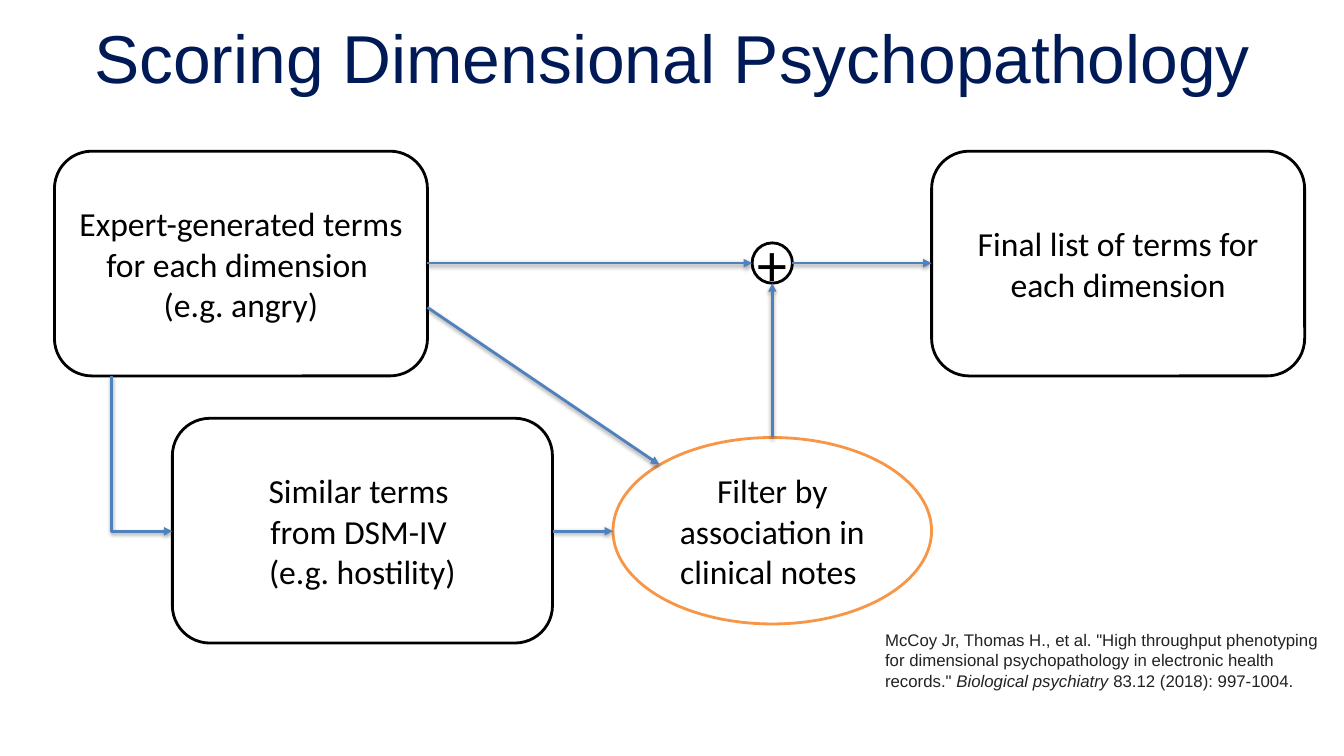
from dataclasses import dataclass

from lxml.etree import SubElement
from pptx import Presentation
from pptx.dml.color import RGBColor
from pptx.enum.shapes import MSO_CONNECTOR, MSO_SHAPE
from pptx.enum.text import MSO_ANCHOR, MSO_AUTO_SIZE, PP_ALIGN
from pptx.oxml import parse_xml
from pptx.oxml.ns import nsdecls, qn
from pptx.util import Inches, Pt


@dataclass(frozen=True)
class Theme:
    title_color: RGBColor = RGBColor(0x00, 0x1A, 0x57)
    cite_color: RGBColor = RGBColor(0x22, 0x22, 0x22)
    black: RGBColor = RGBColor(0x00, 0x00, 0x00)
    white: RGBColor = RGBColor(0xFF, 0xFF, 0xFF)
    blue: RGBColor = RGBColor(0x4F, 0x81, 0xBD)
    orange: RGBColor = RGBColor(0xF7, 0x96, 0x46)
    heading_font: str = "Arial"
    body_font: str = "Calibri"
    title_size: float = 48.4
    node_size: float = 24
    plus_size: float = 42.7
    cite_size: float = 12
    line_width: float = 2


SHADOW = (
    f'<a:effectLst {nsdecls("a")}>'
    '<a:outerShdw blurRad="39370" dist="20320" dir="5400000" rotWithShape="0">'
    '<a:srgbClr val="000000"><a:alpha val="38000"/></a:srgbClr>'
    '</a:outerShdw></a:effectLst>'
)


class FlowSlide:
    def __init__(self, prs, theme):
        self.theme = theme
        self.s = prs.slides.add_slide(prs.slide_layouts[5])

    def style(self, p, name, size, color, align=None):
        p.alignment = align
        p.font.name = name
        p.font.size = Pt(size)
        p.font.color.rgb = color

    def title(self, text, x, y, w, h):
        t = self.theme
        sp = self.s.shapes.title
        sp.left, sp.top, sp.width, sp.height = map(Inches, (x, y, w, h))
        tf = sp.text_frame
        tf.text = text
        tf.word_wrap = True
        tf.auto_size = MSO_AUTO_SIZE.NONE
        tf.vertical_anchor = MSO_ANCHOR.MIDDLE
        tf.margin_left = tf.margin_right = Inches(0.13)
        tf.margin_top = tf.margin_bottom = Inches(0.07)
        self.style(tf.paragraphs[0], t.heading_font, t.title_size,
                   t.title_color, PP_ALIGN.CENTER)

    def citation(self, runs, x, y, w, h):
        t = self.theme
        tf = self.s.shapes.add_textbox(*map(Inches, (x, y, w, h))).text_frame
        tf.word_wrap = True
        tf.auto_size = MSO_AUTO_SIZE.SHAPE_TO_FIT_TEXT
        p = tf.paragraphs[0]
        self.style(p, t.heading_font, t.cite_size, t.cite_color)
        for text, italic in runs:
            r = p.add_run()
            r.text = text
            r.font.italic = italic

    def node(self, kind, lines, x, y, w, h, outline=None, size=None, margin=None):
        t = self.theme
        sp = self.s.shapes.add_shape(kind, *map(Inches, (x, y, w, h)))
        sp.shadow.inherit = False
        sp.fill.solid()
        sp.fill.fore_color.rgb = t.white
        sp.line.color.rgb = outline or t.black
        sp.line.width = Pt(t.line_width)
        tf = sp.text_frame
        tf.word_wrap = True
        tf.vertical_anchor = MSO_ANCHOR.MIDDLE
        if margin is not None:
            tf.margin_left = tf.margin_right = Inches(margin)
            tf.margin_top = tf.margin_bottom = Inches(margin)
        tf.text = "\n".join(lines)
        for p in tf.paragraphs:
            self.style(p, t.body_font, size or t.node_size, t.black, PP_ALIGN.CENTER)

    def arrow(self, x1, y1, x2, y2):
        t = self.theme
        cxn = self.s.shapes.add_connector(
            MSO_CONNECTOR.STRAIGHT, *map(Inches, (x1, y1, x2, y2)))
        cxn.line.color.rgb = t.blue
        cxn.line.width = Pt(t.line_width)
        sp_pr = cxn._element.spPr
        SubElement(sp_pr.find(qn("a:ln")), qn("a:tailEnd"), type="triangle")
        sp_pr.append(parse_xml(SHADOW))
        return cxn

    def down_right_arrow(self, x1, y1, x2, y2):
        # A one-bend connector lies on its side: swap its extents, flip and turn it
        cx, cy = (x1 + x2) / 2, (y1 + y2) / 2
        half_w, half_h = (y2 - y1) / 2, (x2 - x1) / 2
        cxn = self.arrow(cx + half_w, cy - half_h, cx - half_w, cy + half_h)
        sp_pr = cxn._element.spPr
        sp_pr.find(qn("a:xfrm")).set("rot", "16200000")
        sp_pr.find(qn("a:prstGeom")).set("prst", "bentConnector2")


def main():
    prs = Presentation()
    prs.slide_width, prs.slide_height = Inches(13.33), Inches(7.5)
    theme = Theme()
    flow = FlowSlide(prs, theme)

    # Title and source
    flow.title("Scoring Dimensional Psychopathology", 0.16, 0.15, 13.01, 0.81)
    flow.citation([
        ('McCoy Jr, Thomas H., et al. "High throughput phenotyping for dimensional '
         'psychopathology in electronic health records." ', False),
        ("Biological psychiatry", True),
        (" 83.12 (2018): 997-1004.", False),
    ], 8.68, 6.2, 4.59, 0.71)

    # Shared edges and axes of the flow
    top, box_w, box_h = 1.5, 3.7, 2.23
    expert_x, final_x = 0.54, 9.24
    expert_right = expert_x + box_w
    similar_x, similar_y, similar_w = 1.71, 4.15, 3.77
    filter_x, filter_y, filter_w, filter_h = 6.08, 4.34, 3.16, 1.85
    plus_x, plus_d = 7.66, 0.4
    plus_r = plus_d / 2
    upper_y, lower_y = 2.61, 5.27

    # Steps
    box, oval = MSO_SHAPE.ROUNDED_RECTANGLE, MSO_SHAPE.OVAL
    flow.node(box, ["Expert-generated terms for each dimension ", "(e.g. angry)"],
              expert_x, top, box_w, box_h)
    flow.node(box, ["Similar terms ", "from DSM-IV ", "(e.g. hostility)"],
              similar_x, similar_y, similar_w, box_h)
    flow.node(oval, ["+"], plus_x - plus_r, upper_y - plus_r, plus_d, plus_d,
              size=theme.plus_size, margin=0)
    flow.node(oval, ["Filter by association in clinical notes "],
              filter_x, filter_y, filter_w, filter_h, outline=theme.orange)
    flow.node(box, ["Final list of terms for each dimension"],
              final_x, top, box_w, box_h)

    # Arrows between steps
    for ends in [
        (plus_x, filter_y, plus_x, upper_y + plus_r),
        (expert_right, upper_y, plus_x - plus_r, upper_y),
        (similar_x + similar_w, lower_y, filter_x, lower_y),
        (expert_right, 3.05, 6.54, 4.61),
        (plus_x + plus_r, upper_y, final_x, upper_y),
    ]:
        flow.arrow(*ends)
    flow.down_right_arrow(1.11, top + box_h, similar_x, lower_y)

    prs.save("out.pptx")


if __name__ == "__main__":
    main()
